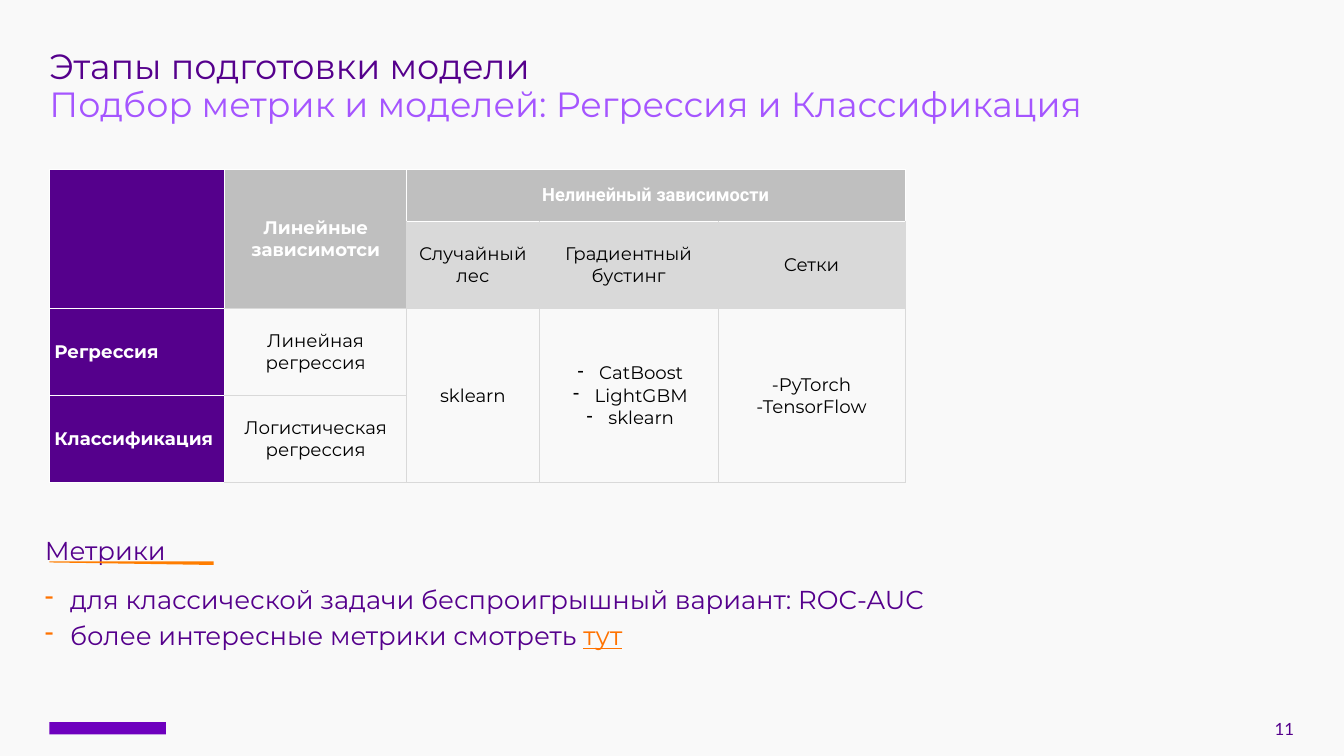
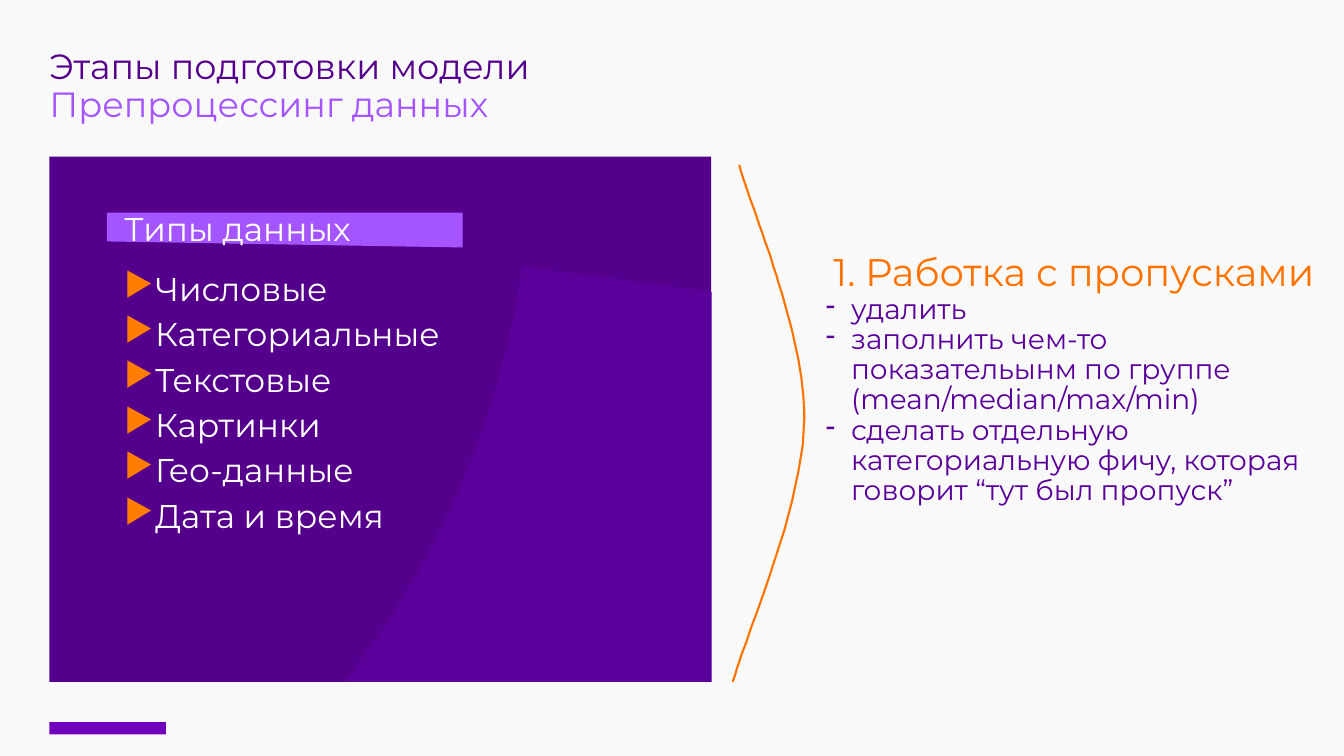
from dataclasses import dataclass

import pptx
import pptx.dml.color
import pptx.enum.shapes
import pptx.enum.text
import pptx.oxml.ns
import pptx.util
from lxml import etree

RGB = pptx.dml.color.RGBColor
ALIGN = pptx.enum.text.PP_ALIGN
ANCHOR = pptx.enum.text.MSO_ANCHOR
SHAPE = pptx.enum.shapes.MSO_SHAPE
qn = pptx.oxml.ns.qn

PX = 9144  # EMU per px, 100 px to the inch
WIDTH, HEIGHT = 2667, 1500
MARGIN = 98

PAPER = RGB(0xF9, 0xF9, 0xF9)
PURPLE = RGB(0x55, 0x00, 0x8C)
VIOLET = RGB(0x5A, 0x00, 0x9B)
LILAC = RGB(0xA5, 0x55, 0xFF)
MARK = RGB(0x6E, 0x00, 0xBE)
ORANGE = RGB(0xFF, 0x7D, 0x00)
DEEP_ORANGE = RGB(0xFF, 0x72, 0x00)
WHITE = RGB(0xFF, 0xFF, 0xFF)
BLACK = RGB(0x00, 0x00, 0x00)
SILVER = RGB(0xD9, 0xD9, 0xD9)
CHARCOAL = RGB(0x34, 0x34, 0x34)

FONT = "Montserrat"
Point = tuple[int, int]


@dataclass
class Cell:
    row: int
    col: int
    lines: tuple[str, ...] = ()
    fill: RGB | None = None
    alpha: int = 100
    edges: tuple[RGB, ...] = (SILVER,) * 4  # left, right, top, bottom
    rows: int = 1
    cols: int = 1
    color: RGB = BLACK
    bold: bool = False
    font: str = FONT
    align: ALIGN = ALIGN.CENTER
    bullet: str | None = None


WHITE_EDGES = (WHITE,) * 4
HEADER = dict(fill=CHARCOAL, alpha=29, color=WHITE, bold=True)
SUBHEADER = dict(fill=SILVER, edges=(SILVER, SILVER, WHITE, SILVER))
ROW_NAME = dict(fill=PURPLE, edges=WHITE_EDGES, color=WHITE, bold=True,
                align=ALIGN.LEFT)
LINEAR = dict(edges=(WHITE, SILVER, SILVER, SILVER))

COLUMN_WIDTHS = (348, 361, 263, 355, 371)
ROW_HEIGHTS = (103, 173, 173, 173)
MODEL_CELLS = (
    Cell(0, 0, fill=PURPLE, edges=WHITE_EDGES, rows=2),
    Cell(0, 1, ("Линейные зависимотси",), rows=2,
         edges=(WHITE, WHITE, WHITE, SILVER), **HEADER),
    Cell(0, 2, ("Нелинейный зависимости",), cols=3, font="Roboto",
         edges=WHITE_EDGES, **HEADER),
    Cell(1, 2, ("Случайный лес",), **SUBHEADER),
    Cell(1, 3, ("Градиентный бустинг",), **SUBHEADER),
    Cell(1, 4, ("Сетки",), **SUBHEADER),
    Cell(2, 0, ("Регрессия",), **ROW_NAME),
    Cell(2, 1, ("Линейная", "регрессия"), **LINEAR),
    Cell(2, 2, ("sklearn",), rows=2),
    Cell(2, 3, ("CatBoost", "LightGBM", "sklearn"), rows=2, bullet="-"),
    Cell(2, 4, ("-PyTorch", "-TensorFlow"), rows=2),
    Cell(3, 0, ("Классификация",), **ROW_NAME),
    Cell(3, 1, ("Логистическая", "регрессия"), **LINEAR),
)


def px(n: float) -> pptx.util.Emu:
    return pptx.util.Emu(round(n * PX))


def add_run(p, text: str, size: int, color: RGB, font: str = FONT,
            bold: bool = False, underline: bool = False) -> None:
    r = p.add_run()
    r.text = text
    r.font.size = pptx.util.Pt(size)
    r.font.name = font
    r.font.bold = bold
    r.font.underline = underline
    r.font.color.rgb = color


def set_bullet(p, mark: str, color: RGB, indent: int, hang: int) -> None:
    """Give a paragraph a bullet; the mark "1." makes a numbered one."""
    pPr = p._p.get_or_add_pPr()
    pPr.set("marL", str(px(indent)))
    pPr.set("indent", str(px(-hang)))
    clr = etree.SubElement(pPr, qn("a:buClr"))
    etree.SubElement(clr, qn("a:srgbClr"), val=str(color))
    if mark == "1.":
        etree.SubElement(pPr, qn("a:buAutoNum"), type="arabicPeriod")
    else:
        etree.SubElement(pPr, qn("a:buChar"), char=mark)


def write(tf, text: str, *, size: int, color: RGB, align=ALIGN.LEFT,
          spacing: float = 1.0, before: int = 0, bullet: str | None = None,
          bullet_color: RGB | None = None, indent: int = 50, hang: int = 50,
          **run_format):
    """Add one paragraph, filling the empty first one if there is one."""
    p = tf.paragraphs[0]
    if p.runs:
        p = tf.add_paragraph()
    if bullet:
        set_bullet(p, bullet, bullet_color or color, indent, hang)
    p.alignment = align
    p.line_spacing = spacing
    if before:
        p.space_before = pptx.util.Pt(before)
    add_run(p, text, size, color, **run_format)
    return p


def set_frame(tf, anchor=ANCHOR.TOP):
    tf.word_wrap = True
    tf.auto_size = pptx.enum.text.MSO_AUTO_SIZE.NONE
    tf.vertical_anchor = anchor
    tf.margin_left = tf.margin_right = tf.margin_top = tf.margin_bottom = 0
    return tf


def add_text_box(slide, x: int, y: int, w: int, h: int, anchor=ANCHOR.TOP):
    sp = slide.shapes.add_textbox(px(x), px(y), px(w), px(h))
    return set_frame(sp.text_frame, anchor)


def paint(sp, fill: RGB | None, line: RGB | None = None) -> None:
    sp.shadow.inherit = False
    if fill is None:
        sp.fill.background()
    else:
        sp.fill.solid()
        sp.fill.fore_color.rgb = fill
    if line is None:
        sp.line.fill.background()
    else:
        sp.line.color.rgb = line
        sp.line.width = pptx.util.Pt(3)


def add_rect(slide, x: int, y: int, w: int, h: int, fill: RGB) -> None:
    paint(slide.shapes.add_shape(SHAPE.RECTANGLE, px(x), px(y), px(w), px(h)),
          fill)


def add_outline(slide, points: list[Point], fill: RGB | None = None,
                line: RGB | None = None) -> None:
    """Draw a closed filled outline, or an open line if there is no fill."""
    builder = slide.shapes.build_freeform(*points[0], scale=PX)
    builder.add_line_segments(points[1:], close=fill is not None)
    paint(builder.convert_to_shape(), fill, line)


def bezier(a: Point, b: Point, c: Point, d: Point,
           steps: int = 32) -> list[Point]:
    def at(t: float, axis: int) -> float:
        u = 1 - t
        return (u**3 * a[axis] + 3 * u * u * t * b[axis]
                + 3 * u * t * t * c[axis] + t**3 * d[axis])
    return [(round(at(i / steps, 0)), round(at(i / steps, 1)))
            for i in range(steps + 1)]


def add_slide(prs, topic: str, title_width: int):
    """Start a slide with the shared two-line title and footer mark."""
    slide = prs.slides.add_slide(prs.slide_layouts[5])
    title = slide.shapes.title
    title.left, title.top = px(MARGIN), px(98)
    title.width, title.height = px(title_width), px(212)
    tf = set_frame(title.text_frame)
    write(tf, "Этапы подготовки модели", size=50, color=PURPLE, spacing=0.9)
    write(tf, topic, size=50, color=LILAC, spacing=0.9)
    add_rect(slide, MARGIN, 1433, 231, 24, MARK)
    return slide


def set_borders(cell, edges: tuple[RGB, ...]) -> None:
    tcPr = cell._tc.get_or_add_tcPr()
    for side, color in zip("LRTB", edges):
        ln = etree.SubElement(tcPr, qn(f"a:ln{side}"),
                              w=str(pptx.util.Pt(1.5)))
        solid = etree.SubElement(ln, qn("a:solidFill"))
        etree.SubElement(solid, qn("a:srgbClr"), val=str(color))


def fill_cell(cell, fill: RGB | None, alpha: int) -> None:
    if fill is None:
        cell.fill.background()
        return
    cell.fill.solid()
    cell.fill.fore_color.rgb = fill
    if alpha < 100:
        clr = cell._tc.tcPr.find(f"{qn('a:solidFill')}/{qn('a:srgbClr')}")
        etree.SubElement(clr, qn("a:alpha"), val=str(alpha * 1000))


def add_model_table(slide, x: int, y: int) -> None:
    table = slide.shapes.add_table(
        len(ROW_HEIGHTS), len(COLUMN_WIDTHS), px(x), px(y),
        px(sum(COLUMN_WIDTHS)), px(sum(ROW_HEIGHTS))).table
    table.first_row = table.horz_banding = False
    for column, width in zip(table.columns, COLUMN_WIDTHS):
        column.width = px(width)
    for row, height in zip(table.rows, ROW_HEIGHTS):
        row.height = px(height)
    for spec in MODEL_CELLS:
        for r in range(spec.row, spec.row + spec.rows):
            for c in range(spec.col, spec.col + spec.cols):
                set_borders(table.cell(r, c), spec.edges)
                fill_cell(table.cell(r, c), spec.fill, spec.alpha)
        cell = table.cell(spec.row, spec.col)
        if spec.rows * spec.cols > 1:
            cell.merge(table.cell(spec.row + spec.rows - 1,
                                  spec.col + spec.cols - 1))
        cell.vertical_anchor = ANCHOR.MIDDLE
        cell.margin_left = cell.margin_right = px(10)
        cell.margin_top = cell.margin_bottom = px(10)
        for line in spec.lines:
            write(cell.text_frame, line, size=26, color=spec.color,
                  align=spec.align, bold=spec.bold, font=spec.font,
                  bullet=spec.bullet, hang=43)


def add_metrics_slide(prs) -> None:
    slide = add_slide(
        prs, "Подбор метрик и моделей: Регрессия и Классификация", 2294)
    number = add_text_box(slide, 1968, 1386, 600, 80, ANCHOR.BOTTOM)
    write(number, "11", size=24, color=PURPLE, font="Lato", align=ALIGN.RIGHT)
    add_model_table(slide, MARGIN, 336)

    tf = add_text_box(slide, 89, 1051, 2512, 309)
    style = dict(size=37, color=PURPLE, spacing=1.15)
    item = dict(style, bullet="-", bullet_color=DEEP_ORANGE, hang=51)
    write(tf, "Метрики", **style)
    write(tf, "для классической задачи беспроигрышный вариант: ROC-AUC",
          before=20, **item)
    p = write(tf, "более интересные метрики смотреть ", **item)
    add_run(p, "тут", 37, DEEP_ORANGE, underline=True)
    add_outline(slide, [(98, 1114), (424, 1114), (424, 1121), (98, 1116)],
                fill=ORANGE)


def add_preprocessing_slide(prs) -> None:
    slide = add_slide(prs, "Препроцессинг данных", 1274)
    add_rect(slide, MARGIN, 311, 1313, 1042, PURPLE)
    sweep = (bezier((683, 1353), (772, 1240), (846, 1116), (905, 984))
             + bezier((905, 984), (969, 839), (1014, 686), (1037, 529))[1:])
    add_outline(slide, [(1412, 579), (1412, 1353)] + sweep, fill=VIOLET)
    add_outline(slide, [(918, 491), (212, 479), (212, 422), (918, 422)],
                fill=LILAC)

    types = add_text_box(slide, 247, 403, 1313, 800)
    style = dict(size=47, color=WHITE, spacing=1.15)
    write(types, "Типы данных", **style)
    for i, name in enumerate(("Числовые", "Категориальные", "Текстовые",
                              "Картинки", "Гео-данные", "Дата и время")):
        write(types, name, bullet="▶", bullet_color=ORANGE,
              before=0 if i else 20, **style)

    bracket = (bezier((1467, 327), (1489, 411), (1599, 662), (1596, 833))
               + bezier((1596, 833), (1594, 1004), (1478, 1266),
                        (1454, 1353))[1:])
    add_outline(slide, bracket, line=DEEP_ORANGE)

    gaps = add_text_box(slide, 1639, 503, 997, 594)
    write(gaps, "Работка с пропусками", size=55, color=DEEP_ORANGE,
          align=ALIGN.CENTER, spacing=0.9, bullet="1.", hang=63)
    for text, hang in (
        ("удалить", 63),
        ("заполнить чем-то показательынм по группе (mean/median/max/min)", 53),
        ("сделать отдельную категориальную фичу, которая говорит "
         "“тут был пропуск”", 53),
    ):
        write(gaps, text, size=40, color=VIOLET, spacing=0.9, bullet="-",
              hang=hang)


def main() -> None:
    prs = pptx.Presentation()
    prs.slide_width, prs.slide_height = px(WIDTH), px(HEIGHT)
    background = prs.slide_master.background.fill
    background.solid()
    background.fore_color.rgb = PAPER
    add_metrics_slide(prs)
    add_preprocessing_slide(prs)
    prs.save("out.pptx")


if __name__ == "__main__":
    main()
